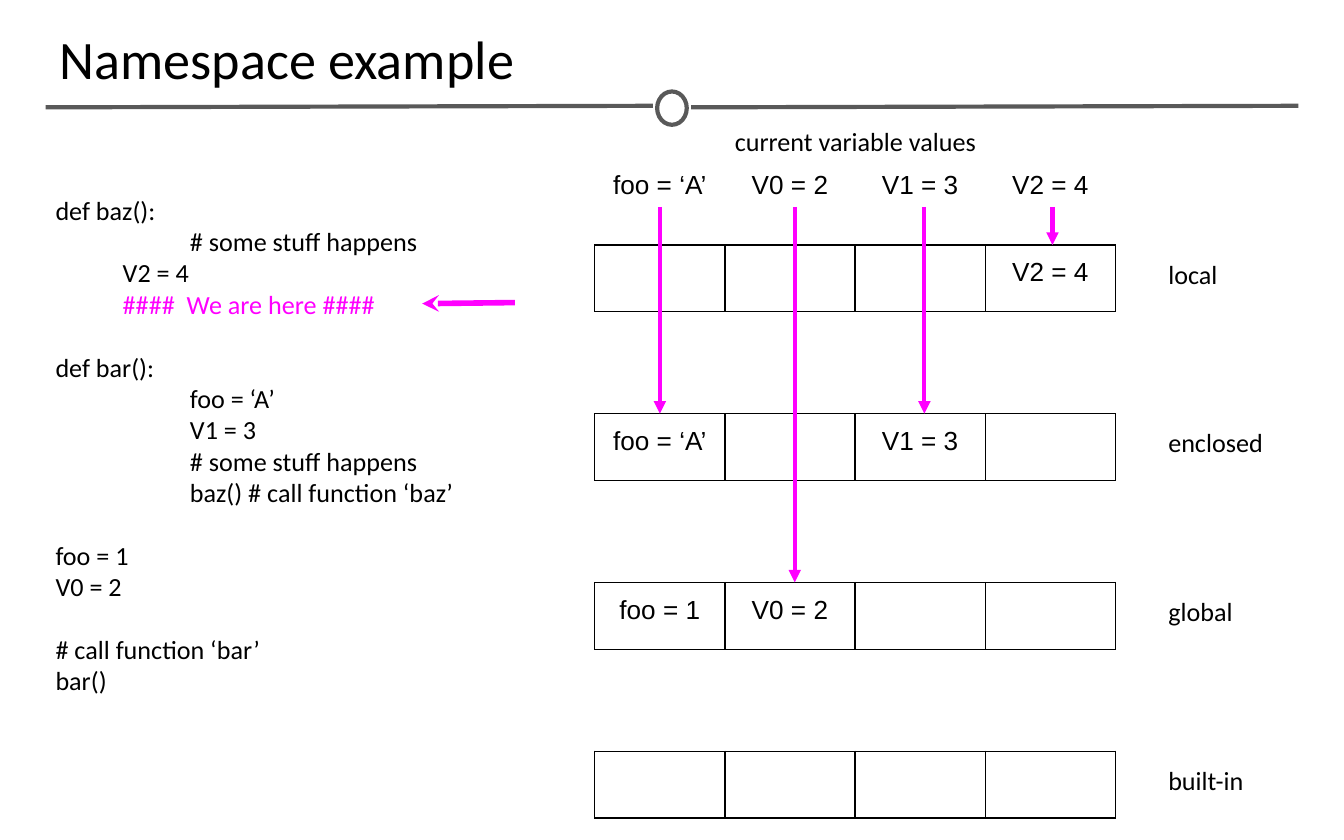
from dataclasses import dataclass

from lxml.etree import SubElement
from pptx import Presentation
from pptx.dml.color import RGBColor as Rgb
from pptx.enum.shapes import MSO_CONNECTOR as Link, MSO_SHAPE as Shape
from pptx.enum.text import MSO_ANCHOR as Anchor, PP_ALIGN as Align
from pptx.oxml.ns import qn
from pptx.util import Cm, Pt


@dataclass(frozen=True)
class Theme:
    ink: str = "000000"
    rule: str = "595959"
    accent: str = "FF00FF"
    prose: str = "Calibri"
    values: str = "Arial"
    title_size: float = 29
    body_size: float = 14
    empty_size: float = 18
    code_pitch: float = 16.8
    rule_width: float = 2.25
    marker_width: float = 3
    border_width: float = 0.75


THEME = Theme()

TITLE = "Namespace example"
CAPTION = "current variable values"
CODE_BLOCKS = [
    [
        (0, "def baz():"),
        (2, "# some stuff happens"),
        (1, "V2 = 4"),
        (1, "####  We are here ####"),
    ],
    [
        (0, "def bar():"),
        (2, "foo = ‘A’"),
        (2, "V1 = 3"),
        (2, "# some stuff happens"),
        (2, "baz() # call function ‘baz’"),
    ],
    [(0, "foo = 1"), (0, "V0 = 2")],
    [(0, "# call function ‘bar’"), (0, "bar()")],
]
CURRENT_VALUES = ["foo = ‘A’", "V0 = 2", "V1 = 3", "V2 = 4"]
SCOPES = [
    ("local", ["", "", "", "V2 = 4"]),
    ("enclosed", ["foo = ‘A’", "", "V1 = 3", ""]),
    ("global", ["foo = 1", "V0 = 2", "", ""]),
    ("built-in", ["", "", "", ""]),
]
LOOKUPS = [(12.47, "enclosed"), (15.02, "global"), (17.47, "enclosed"), (19.89, "local")]

INSET = 0.25
INDENT = 1.27
GRID_LEFT, GRID_TOP, SCOPE_PITCH = 11.24, 4.63, 3.19
CELL_WIDTH, ROW_HEIGHT, FRAME_SIZE = 2.46, 1.07, 8.33
HEADER_TOP, ARROW_TOP = 2.97, 3.91
LABEL_LEFT = 21.83


def style(para, font, size=THEME.body_size, color=THEME.ink):
    for span in para.runs:
        span.font.name = font
        span.font.size = Pt(size)
        span.font.bold = False
        span.font.color.rgb = Rgb.from_string(color)


def add_text(page, area, text, size=THEME.body_size, align=Align.LEFT, anchor=Anchor.TOP):
    box = page.shapes.add_textbox(*map(Cm, area))
    frame = box.text_frame
    frame.word_wrap = True
    frame.vertical_anchor = anchor
    frame.margin_left = frame.margin_right = Cm(INSET)
    frame.margin_top = frame.margin_bottom = Cm(INSET)
    frame.text = text
    for para in frame.paragraphs:
        para.alignment = align
        style(para, THEME.prose, size)
    return frame


def add_line(page, start, end, color, width, arrowhead=None):
    line = page.shapes.add_connector(Link.STRAIGHT, *map(Cm, start + end))
    line.line.color.rgb = Rgb.from_string(color)
    line.line.width = Pt(width)
    if arrowhead:
        SubElement(line.line._get_or_add_ln(), qn("a:tailEnd"), type=arrowhead)
    SubElement(line._element.spPr, qn("a:effectLst"))


def set_borders(cell, visible):
    properties = cell._tc.get_or_add_tcPr()
    for side in ("lnL", "lnR", "lnT", "lnB"):
        border = SubElement(properties, qn(f"a:{side}"), w=str(Pt(THEME.border_width)))
        if visible:
            fill = SubElement(border, qn("a:solidFill"))
            SubElement(fill, qn("a:srgbClr"), val=THEME.ink)
        else:
            SubElement(border, qn("a:noFill"))


def fill_cell(cell, value):
    para = cell.text_frame.paragraphs[0]
    if value:
        para.text = value
        para.alignment = Align.CENTER
        style(para, THEME.values)
    else:
        size = str(int(THEME.empty_size * 100))
        ending = SubElement(para._p, qn("a:endParaRPr"), sz=size)
        SubElement(ending, qn("a:latin"), typeface=THEME.values)


def add_value_row(page, top, values, bordered):
    area = (GRID_LEFT, top, CELL_WIDTH * len(values), ROW_HEIGHT)
    frame = page.shapes.add_table(1, len(values), *map(Cm, area))
    table = frame.table
    table.first_row = table.horz_banding = False
    for column, value in enumerate(values):
        table.columns[column].width = Cm(CELL_WIDTH)
        cell = table.cell(0, column)
        set_borders(cell, bordered)
        cell.fill.background()
        cell.margin_left = cell.margin_right = Cm(INSET)
        cell.margin_top = cell.margin_bottom = Cm(INSET)
        fill_cell(cell, value)
    frame.width = frame.height = Cm(FRAME_SIZE)


def add_heading(page):
    for left, right in ((0.86, 12.34), (13.06, 24.54)):
        add_line(page, (left, 2.03), (right, 2.0), THEME.rule, THEME.rule_width)
    ring = page.shapes.add_shape(Shape.OVAL, *map(Cm, (12.42, 1.73, 0.56, 0.63)))
    ring.shadow.inherit = False
    ring.fill.background()
    ring.line.color.rgb = Rgb.from_string(THEME.rule)
    ring.line.width = Pt(THEME.rule_width)
    add_text(page, (0.88, 0.17, 23.67, 1.78), TITLE, THEME.title_size, anchor=Anchor.BOTTOM)


def add_code(page):
    lines = [line for block in CODE_BLOCKS for line in block]
    frame = add_text(page, (0.8, 3.42, 11.89, 11.48), "\n".join(text for _, text in lines))
    paras = iter(frame.paragraphs)
    for block_number, block in enumerate(CODE_BLOCKS):
        for line_number, (level, text) in enumerate(block):
            para = next(paras)
            para.line_spacing = Pt(THEME.code_pitch)
            para._p.get_or_add_pPr().set("marL", str(Cm(INDENT * level)))
            if block_number and line_number == 0:
                para.space_before = Pt(THEME.code_pitch)
            if text.startswith("####"):
                style(para, THEME.prose, color=THEME.accent)
    add_line(page, (9.73, 5.72), (7.98, 5.74), THEME.accent, THEME.marker_width, "stealth")


def add_namespaces(page):
    scope_tops = {}
    for index, (scope, values) in enumerate(SCOPES):
        top = GRID_TOP + SCOPE_PITCH * index
        scope_tops[scope] = top
        add_value_row(page, top, values, True)
        add_text(page, (LABEL_LEFT, top, 3, 1.09), scope)
    add_text(page, (GRID_LEFT, 2.12, 9.86, 1.09), CAPTION, align=Align.CENTER)
    add_value_row(page, HEADER_TOP, CURRENT_VALUES, False)
    for x, scope in LOOKUPS:
        end = (x, scope_tops[scope])
        add_line(page, (x, ARROW_TOP), end, THEME.accent, THEME.rule_width, "triangle")


def main():
    deck = Presentation()
    deck.slide_width, deck.slide_height = Cm(25.4), Cm(15.88)
    page = deck.slides.add_slide(deck.slide_layouts[6])
    add_heading(page)
    add_code(page)
    add_namespaces(page)
    deck.save("out.pptx")


if __name__ == "__main__":
    main()
